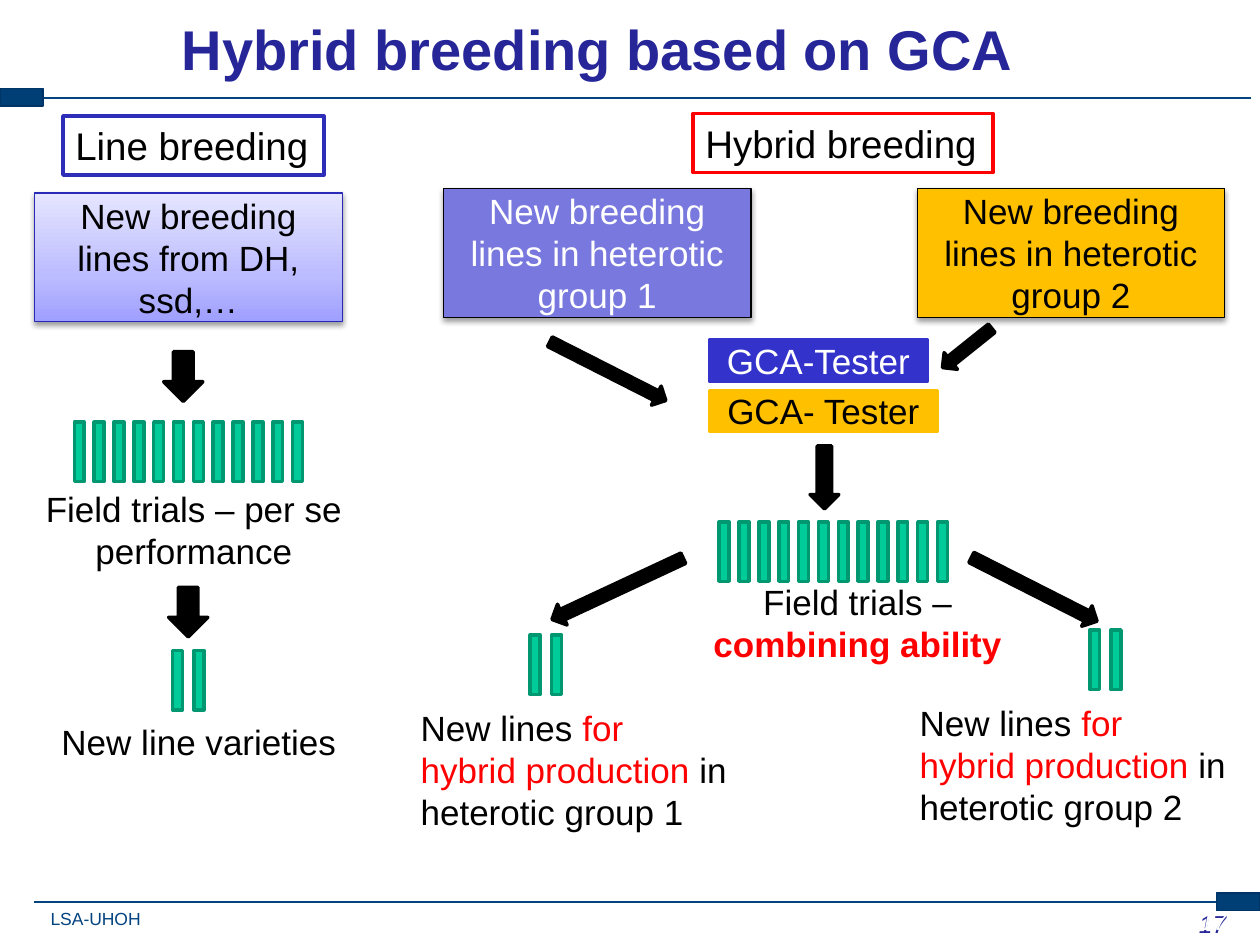
from copy import deepcopy

from lxml.etree import SubElement
from pptx import Presentation
from pptx.dml.color import RGBColor
from pptx.enum.shapes import MSO_CONNECTOR as CONNECTOR, MSO_SHAPE as SHAPE
from pptx.enum.text import MSO_ANCHOR as ANCHOR, PP_ALIGN as ALIGN
from pptx.oxml import parse_xml
from pptx.oxml.ns import qn
from pptx.util import Cm, Pt

BLACK = RGBColor(0x00, 0x00, 0x00)
WHITE = RGBColor(0xFF, 0xFF, 0xFF)
RED = RGBColor(0xFF, 0x00, 0x00)
NAVY = RGBColor(0x26, 0x26, 0x99)
RULE_BLUE = RGBColor(0x03, 0x43, 0x80)
TAB_BLUE = RGBColor(0x00, 0x3F, 0x75)
TAB_EDGE = RGBColor(0x00, 0x33, 0x66)
LINE_BLUE = RGBColor(0x2D, 0x2D, 0xB9)
POOL_EDGE = RGBColor(0x29, 0x29, 0xB8)
TESTER_BLUE = RGBColor(0x33, 0x33, 0xCC)
LILAC = RGBColor(0x78, 0x78, 0xDE)
AMBER = RGBColor(0xFF, 0xC0, 0x00)
GREEN = RGBColor(0x00, 0xCC, 0x99)
GREEN_EDGE = RGBColor(0x00, 0x97, 0x71)
POOL_STOPS = [(0, RGBColor(0x9F, 0x9F, 0xFF)), (0.35, RGBColor(0xBB, 0xBB, 0xFF)),
              (1, RGBColor(0xE5, 0xE5, 0xFF))]
SOFT_SHADOW = (
    '<a:effectLst xmlns:a="http://schemas.openxmlformats.org/drawingml/2006/main">'
    '<a:outerShdw blurRad="40000" dist="20000" dir="5400000" rotWithShape="0">'
    '<a:srgbClr val="000000"><a:alpha val="38000"/></a:srgbClr>'
    '</a:outerShdw></a:effectLst>')

deck = Presentation()
deck.slide_width, deck.slide_height = Cm(25.4), Cm(19.05)
page = deck.slides.add_slide(deck.slide_layouts[6])


def draw(shapes, kind, place, fill, edge, weight=2):
    """Add a filled preset shape; place is left, top, width, height in cm."""
    shape = shapes.add_shape(kind, *map(Cm, place))
    shape.shadow.inherit = False
    shape.fill.solid()
    shape.fill.fore_color.rgb = fill
    shape.line.color.rgb = edge
    shape.line.width = Pt(weight)
    return shape


def write(box, parts, size=20, align=ALIGN.LEFT, anchor=ANCHOR.TOP, wrap=True):
    """Fill a box with one paragraph of (text, colour) parts."""
    frame = box.text_frame
    frame.word_wrap = wrap
    frame.vertical_anchor = anchor
    para = frame.paragraphs[0]
    para.alignment = align
    para.font.name = "Arial"
    para.font.size = Pt(size)
    for text, color in parts:
        span = para.add_run()
        span.text = text
        span.font.color.rgb = color
    return para


# Header and footer rules with their end tabs
for left, right, y in [(0.69, 25.15, 18.19), (0.79, 25.22, 1.98)]:
    rule = page.shapes.add_connector(CONNECTOR.STRAIGHT, Cm(left), Cm(y), Cm(right), Cm(y))
    rule.line.color.rgb = RULE_BLUE
    rule.line.width = Pt(1)
    SubElement(rule.element.spPr, qn("a:effectLst"))
for left, top in [(24.53, 18), (0, 1.78)]:
    draw(page.shapes, SHAPE.RECTANGLE, (left, top, 0.87, 0.36), TAB_BLUE, TAB_EDGE, 0.75)

# Footer text and page number
footer = page.shapes.add_textbox(Cm(1.02), Cm(18.31), Cm(1.83), Cm(0.43))
frame = footer.text_frame
frame.margin_left = frame.margin_top = frame.margin_right = frame.margin_bottom = 0
write(footer, [("LSA-UHOH", RULE_BLUE)], 10, wrap=False)
for left, top, width, color in [(19.69, 18.21, 5.28, NAVY), (21.69, 18.14, 3.3, WHITE)]:
    box = page.shapes.add_textbox(Cm(left), Cm(top), Cm(width), Cm(1.27))
    write(box, [("17", color)], 14, ALIGN.RIGHT).font.italic = True

# Title
title = page.shapes.add_textbox(Cm(-0.89), Cm(-0.28), Cm(25.88), Cm(2.51))
write(title, [("Hybrid breeding based on GCA", NAVY)], 32, ALIGN.CENTER,
      ANCHOR.MIDDLE).font.bold = True

# Headings of the two schemes
for text, place, edge in [("Line breeding", (1.27, 2.34, 5.26, 1.19), LINE_BLUE),
                          ("Hybrid breeding", (13.97, 2.29, 6.05, 1.19), RED)]:
    heading = draw(page.shapes, SHAPE.RECTANGLE, place, WHITE, edge)
    write(heading, [(text, BLACK)], 22, wrap=False)

# Starting pools of breeding lines
pools = []
for text, left, top, fill, edge, color in [
        ("New breeding lines from DH, ssd,…", 0.7, 3.89, WHITE, POOL_EDGE, BLACK),
        ("New breeding lines in heterotic group 1", 8.94, 3.8, LILAC, BLACK, WHITE),
        ("New breeding lines in heterotic group 2", 18.49, 3.8, AMBER, BLACK, BLACK)]:
    pool = draw(page.shapes, SHAPE.RECTANGLE, (left, top, 6.2, 2.6), fill, edge, 0.75)
    properties = pool.element.spPr
    properties.replace(properties.find(qn("a:effectLst")), parse_xml(SOFT_SHADOW))
    write(pool, [(text, color)], 20, ALIGN.CENTER, ANCHOR.MIDDLE)
    pools.append(pool)

# Gradient of the line breeding pool
pool_fill = pools[0].fill
pool_fill.gradient()
pool_fill.gradient_angle = 90
stop_list = pools[0].element.spPr.find(".//" + qn("a:gsLst"))
stop_list.insert(1, deepcopy(stop_list[0]))
for stop, (position, color) in zip(pool_fill.gradient_stops, POOL_STOPS):
    stop.position = position
    stop.color.rgb = color

# Testers
for text, top, width, fill, color in [("GCA- Tester", 7.87, 4.6, AMBER, BLACK),
                                      ("GCA-Tester", 6.86, 4.4, TESTER_BLUE, WHITE)]:
    tester = draw(page.shapes, SHAPE.RECTANGLE, (14.3, top, width, 0.82), fill, fill)
    write(tester, [(text, color)], 20, ALIGN.CENTER, ANCHOR.MIDDLE)

# Field plots: rows of twelve in trials, pairs of selected lines
for left, top, count, pitch in [(1.5, 8.51, 12, 0.4), (14.5, 10.52, 12, 0.4),
                                (3.48, 13.11, 2, 0.43), (10.69, 12.8, 2, 0.43),
                                (21.97, 12.7, 2, 0.43)]:
    plots = page.shapes.add_group_shape().shapes
    for index in range(count):
        draw(plots, SHAPE.RECTANGLE, (left + index * pitch, top, 0.2, 1.2), GREEN, GREEN_EDGE)

# Arrows between the steps
for *place, angle in [(3.3, 7.09, 0.79, 1, 0), (3.4, 11.84, 0.79, 1, 0),
                      (16.33, 8.99, 0.58, 1.27, 0), (12.04, 6.17, 0.43, 2.62, 296.9),
                      (19.28, 6.38, 0.43, 1.27, 51.4), (12.22, 10.41, 0.46, 2.92, 65),
                      (20.62, 10.46, 0.46, 2.84, 296.9)]:
    arrow = draw(page.shapes, SHAPE.DOWN_ARROW, place, BLACK, BLACK)
    arrow.rotation = angle

# Captions of trials and results
for left, top, width, height, align, parts in [
        (0.51, 9.7, 6.8, 1.96, ALIGN.CENTER, [("Field trials – per se performance", BLACK)]),
        (0.99, 14.4, 6.2, 1.12, ALIGN.LEFT, [("New line varieties", BLACK)]),
        (13.89, 11.58, 6.8, 1.96, ALIGN.CENTER,
         [("Field trials – ", BLACK), ("combining ability", RED)])]:
    caption = page.shapes.add_textbox(Cm(left), Cm(top), Cm(width), Cm(height))
    para = write(caption, parts, align=align)
para.runs[1].font.bold = True

for group, left, top in [(1, 8.23, 14.12), (2, 18.29, 14.02)]:
    caption = page.shapes.add_textbox(Cm(left), Cm(top), Cm(6.68), Cm(2.82))
    write(caption, [("New lines ", BLACK), ("for hybrid production ", RED),
                    (f"in heterotic group {group}", BLACK)])

deck.save("out.pptx")
